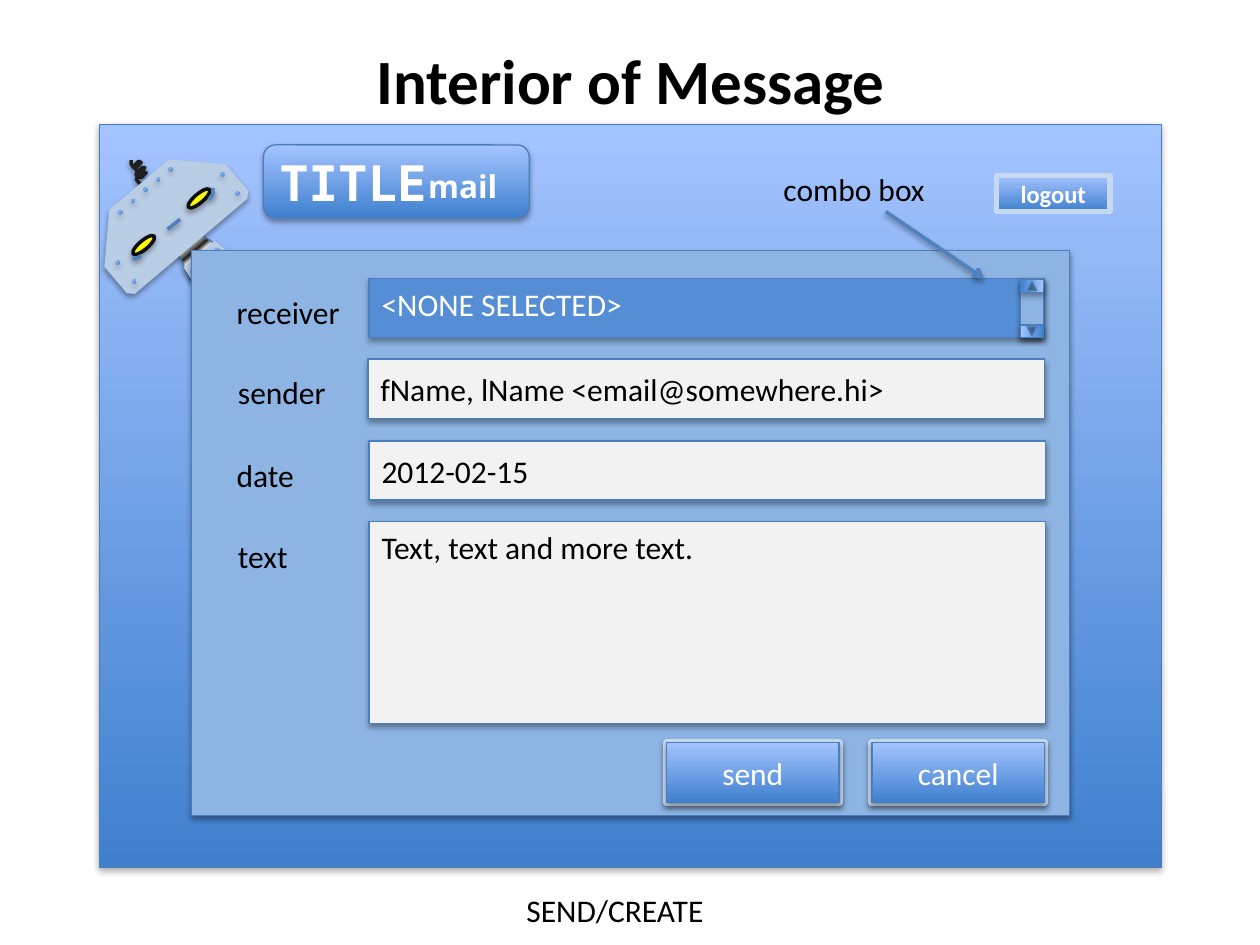
from lxml.etree import SubElement
from pptx import Presentation
from pptx.dml.color import RGBColor
from pptx.enum.shapes import MSO_CONNECTOR, MSO_SHAPE
from pptx.enum.text import MSO_ANCHOR, PP_ALIGN
from pptx.oxml.ns import qn
from pptx.util import Inches, Pt

HUES = {"deep": "3F80CE", "pale": "A4C4FF", "edge": "4B7EBC", "wire": "4F81BD",
        "panel": "8EB4E3", "steel": "B9CDE5", "field": "F2F2F2", "pick": "558ED5",
        "frame": "C6D9F1", "eye": "FFFF00", "ink": "0D0D0D", "black": "000000",
        "white": "FFFFFF", "dark": "1F1F1F", "grey": "636363", "mid": "7F7F7F",
        "light": "CFCFCF"}
BLUE = [(0, "deep"), (100, "pale")]
CHROME = [(0, "white"), (7, "dark"), (14, "white"), (21, "grey"), (28, "light"),
          (35, "light"), (42, "dark"), (49, "white"), (55, "mid")]
TILT = 319.8
BOLTS = [(1.04, 1.58), (0.94, 1.67), (1.34, 1.33), (1.24, 1.41), (1.14, 1.49),
         (0.92, 2.07), (1.05, 2.22), (1.75, 1.37), (1.87, 1.52)]
NECK = [(1.51, 2.14), (1.71, 1.97)]
EYES = [(1.47, 1.54), (1.03, 1.91)]
SPRING = [(1.04, 1.27), (1.04, 1.3), (1.06, 1.33), (1.08, 1.33), (1.12, 1.29),
          (1.1, 1.28), (1.06, 1.32), (1.1, 1.37), (1.12, 1.37), (1.15, 1.33),
          (1.13, 1.33), (1.08, 1.38), (1.08, 1.39), (1.12, 1.41), (1.16, 1.37),
          (1.15, 1.37), (1.13, 1.38), (1.08, 1.42), (1.11, 1.46), (1.13, 1.46)]
CHEEKS = [[(1.05, 2.05), (1.08, 2.05), (1.12, 2.03)],
          [(1.66, 1.58), (1.69, 1.54), (1.69, 1.51), (1.69, 1.49)]]
LABELS = [("receiver", 1.78, 2.28, 1.03), ("sender", 1.79, 2.91, 0.91),
          ("date", 1.78, 3.57, 0.67), ("text", 1.79, 4.21, 0.61),
          ("combo box", 6.12, 1.3, 1.37), ("SEND/CREATE", 4.08, 7.02, 1.64)]
FIELDS = [("Text, text and more text.", (2.93, 4.14, 5.37, 1.6), "field", "black", "TOP"),
          ("fName, lName <email@somewhere.hi>", (2.92, 2.85, 5.37, 0.47), "field", "black", "MIDDLE"),
          ("2012-02-15", (2.93, 3.5, 5.37, 0.47), "field", "black", "MIDDLE"),
          ("<NONE SELECTED>", (2.93, 2.21, 5.36, 0.47), "pick", "white", "TOP")]
BUTTONS = [("send", 5.29), ("cancel", 6.92)]


def rgb(name):
    return RGBColor.from_string(HUES[name])


def shade(shape, alpha=35, dist=23000):
    old = shape._element.spPr.find(qn("a:effectLst"))
    if old is not None:
        shape._element.spPr.remove(old)
    fx = SubElement(shape._element.spPr, qn("a:effectLst"))
    if alpha:
        drop = SubElement(fx, qn("a:outerShdw"), blurRad="40000", dist=str(dist),
                          dir="5400000", rotWithShape="0")
        tint = SubElement(drop, qn("a:srgbClr"), val=HUES["black"])
        SubElement(tint, qn("a:alpha"), val=str(alpha * 1000))


def blend(shape, stops, angle):
    shape.fill.gradient()
    shape.fill.gradient_angle = angle
    ramp = shape._element.spPr.find(qn("a:gradFill")).find(qn("a:gsLst"))
    for stop in list(ramp):
        ramp.remove(stop)
    for pos, name in stops:
        stop = SubElement(ramp, qn("a:gs"), pos=str(pos * 1000))
        SubElement(stop, qn("a:srgbClr"), val=HUES[name])


def stroke(shape, name, width):
    shape.line.color.rgb = rgb(name)
    shape.line.width = Pt(width)


def draw(host, box, fill=BLUE, kind="RECTANGLE", line=("edge", 0.75), turn=0,
         adj=(), angle=90, alpha=35):
    shape = host.add_shape(MSO_SHAPE[kind], *map(Inches, box))
    shape.rotation = turn
    for i, part in enumerate(adj):
        shape.adjustments[i] = part
    if isinstance(fill, str):
        shape.fill.solid()
        shape.fill.fore_color.rgb = rgb(fill)
    else:
        blend(shape, fill, angle)
    if line:
        stroke(shape, *line)
    else:
        shape.line.fill.background()
    shade(shape, alpha)
    return shape


def write(shape, words, hue="black", align="LEFT", anchor="MIDDLE", wrap=True,
          size=18, name="Calibri", bold=False):
    frame = shape.text_frame
    frame.word_wrap = wrap
    frame.vertical_anchor = MSO_ANCHOR[anchor]
    para = frame.paragraphs[0]
    para.alignment = PP_ALIGN[align]
    run = para.add_run()
    run.text = words
    for key, val in {"size": Pt(size), "name": name, "bold": bold}.items():
        setattr(run.font, key, val)
    run.font.color.rgb = rgb(hue)


def label(host, words, box, **look):
    write(host.add_textbox(*map(Inches, box)), words, anchor="TOP", **look)


def join(host, start, end):
    wire = host.add_connector(MSO_CONNECTOR.STRAIGHT, *map(Inches, start + end))
    stroke(wire, "wire", 2)
    shade(wire, 38, 20000)
    return wire


def trace(host, points, hue):
    first, *rest = [tuple(map(Inches, point)) for point in points]
    pen = host.build_freeform(*first, scale=1.0)
    pen.add_line_segments(rest, close=False)
    shape = pen.convert_to_shape()
    shape.fill.background()
    stroke(shape, hue, 2)
    shade(shape, 38, 20000)


def bolts(host, spots):
    for x, y in spots:
        draw(host, (x, y, 0.03, 0.03), kind="OVAL", line=None, turn=TILT)


def robot(host):
    draw(host, (1.4, 1.9, 0.36, 0.25), CHROME, "TRAPEZOID", turn=TILT, angle=270)
    draw(host, (1.44, 2, 0.36, 0.12), "steel", "TRAPEZOID", None, TILT, [0.14])
    bolts(host, NECK)
    trace(host, SPRING, "dark")
    draw(host, (0.68, 1.39, 1.26, 0.64), "steel", "SNIP_2_SAME_RECTANGLE", None,
         TILT, [0.5, 0.07])
    for x, y in EYES:
        draw(host, (x, y, 0.22, 0.07), "eye", "OVAL", ("ink", 2), TILT)
    join(host, (1.33, 1.82), (1.43, 1.74))
    bolts(host, BOLTS)
    for cheek in CHEEKS:
        trace(host, cheek, "wire")


def main():
    deck = Presentation()
    deck.slide_width, deck.slide_height = Inches(10), Inches(7.5)
    page = deck.slides.add_slide(deck.slide_layouts[6]).shapes

    draw(page, (0.79, 0.99, 8.43, 5.89))
    robot(page.add_group_shape().shapes)
    draw(page, (1.52, 1.99, 6.97, 4.48), "panel")
    label(page, "Interior of Message", (1.52, 0.28, 6.97, 0.71), align="CENTER",
          size=36, bold=True)
    for words, x, y, wide in LABELS:
        label(page, words, (x, y, wide, 0.4), wrap=False)
    for words, box, fill, hue, anchor in FIELDS:
        write(draw(page, box, fill), words, hue, anchor=anchor)
    for words, x in BUTTONS:
        box = (x, 5.89, 1.37, 0.48)
        draw(page, box, "frame", line=("frame", 4))
        write(draw(page, box), words, "white", "CENTER")

    arrow = join(page, (7.03, 1.68), (7.81, 2.21))
    SubElement(arrow.line._get_or_add_ln(), qn("a:tailEnd"), type="arrow")
    logout = draw(page, (7.91, 1.39, 0.9, 0.29), line=("frame", 3), alpha=0)
    write(logout, "logout", "white", "CENTER", size=14, bold=True)

    scroll = page.add_group_shape().shapes
    draw(scroll, (8.1, 2.21, 0.18, 0.47), "panel")
    for y, turn in [(2.18, 90), (2.54, 270)]:
        draw(scroll, (8.14, y, 0.1, 0.18), kind="ACTION_BUTTON_BACK_OR_PREVIOUS", turn=turn)

    logo = page.add_group_shape().shapes
    badge = draw(logo, (2.09, 1.15, 2.11, 0.58), kind="ROUNDED_RECTANGLE")
    write(badge, "TITLE", "white", size=28, name="DejaVu Sans Mono", bold=True)
    label(logo, "mail", (3.3, 1.28, 1.01, 0.4), hue="white", name="Noto Sans", bold=True)
    deck.save("out.pptx")


if __name__ == "__main__":
    main()
